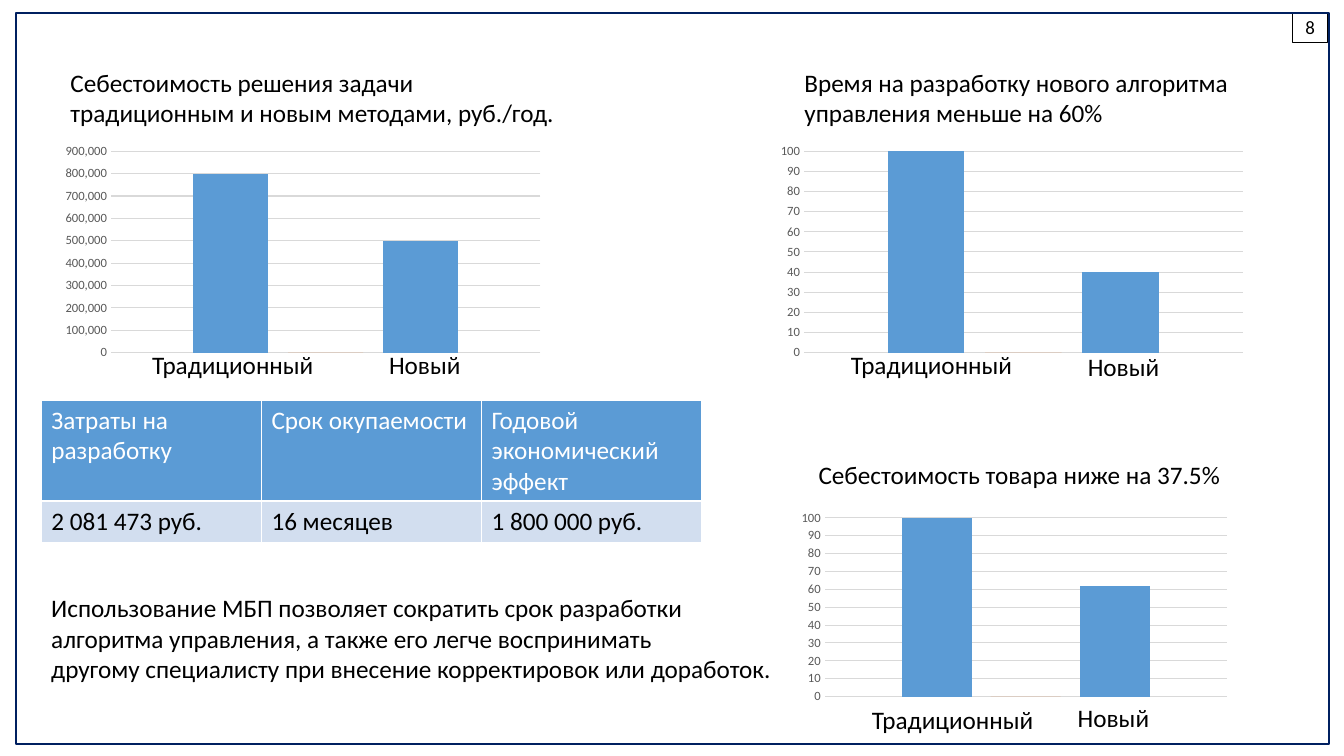
import pptx
import pptx.chart.data
import pptx.dml.color
import pptx.enum.chart
import pptx.enum.shapes
import pptx.enum.text
import pptx.oxml
import pptx.oxml.ns
import pptx.util

PX = 9144  # 100 px to the inch
FONT = "Calibri"
COLORS = {
    "text": "000000", "frame": "002060", "white": "FFFFFF", "bar": "5B9BD5",
    "zero_bar": "ED7D31", "grid": "D9D9D9", "axis": "595959", "row": "D2DEEF",
}


def px(*lengths):
    return [pptx.util.Emu(length * PX) for length in lengths]


def color(name):
    return pptx.dml.color.RGBColor.from_string(COLORS[name])


def set_font(font, size, name="text"):
    font.name = FONT
    font.size = pptx.util.Pt(size)
    font.bold = False
    font.color.rgb = color(name)


def fill_with(part, name):
    part.fill.solid()
    part.fill.fore_color.rgb = color(name)


def add_text(slide, box, text, wrap=False):
    shape = slide.shapes.add_textbox(*px(*box))
    frame = shape.text_frame
    frame.text = text
    frame.word_wrap = wrap
    frame.auto_size = pptx.enum.text.MSO_AUTO_SIZE.SHAPE_TO_FIT_TEXT
    for paragraph in frame.paragraphs:
        set_font(paragraph.runs[0].font, 18)


def add_rectangle(slide, box, line_name, line_width):
    shape = slide.shapes.add_shape(pptx.enum.shapes.MSO_SHAPE.RECTANGLE, *px(*box))
    shape.shadow.inherit = False
    shape.fill.background()
    shape.line.color.rgb = color(line_name)
    shape.line.width = pptx.util.Pt(line_width)
    return shape


def add_page_frame(slide, box, number):
    left, top, width, height = box
    tab = add_rectangle(slide, (left + width - 36, top - 1, 35, 30), "text", 0.75)
    frame = tab.text_frame
    frame.text = number
    frame.word_wrap = False
    frame.vertical_anchor = pptx.enum.text.MSO_ANCHOR.MIDDLE
    frame.paragraphs[0].alignment = pptx.enum.text.PP_ALIGN.CENTER
    set_font(frame.paragraphs[0].runs[0].font, 13.5)
    add_rectangle(slide, box, "frame", 1)


def set_plot_layout(chart, x):
    plot_area = chart.element.chart.plotArea
    for layout in plot_area.findall(pptx.oxml.ns.qn("c:layout")):
        plot_area.remove(layout)
    values = (("layoutTarget", "inner"), ("xMode", "edge"), ("yMode", "edge"),
              ("x", x), ("y", 0.05), ("w", 0.85), ("h", 0.9))
    inner = "".join(f'<c:{tag} val="{value}"/>' for tag, value in values)
    plot_area.insert(0, pptx.oxml.parse_xml(
        f'<c:layout {pptx.oxml.ns.nsdecls("c")}>'
        f"<c:manualLayout>{inner}</c:manualLayout></c:layout>"))


def add_comparison_chart(slide, box, values, maximum, step, number_format, plot_left):
    data = pptx.chart.data.CategoryChartData()
    data.categories = ["1"]
    for index, value in enumerate(values, 1):
        data.add_series(f"Series {index}", [value])
    chart = slide.shapes.add_chart(
        pptx.enum.chart.XL_CHART_TYPE.COLUMN_CLUSTERED, *px(*box), data).chart
    chart.has_title = False
    chart.has_legend = False
    set_font(chart.font, 10)
    set_plot_layout(chart, plot_left)

    plot = chart.plots[0]
    plot.vary_by_categories = False
    plot.gap_width = 219
    plot.overlap = -27
    for series, name in zip(plot.series, ("bar", "zero_bar", "bar")):
        fill_with(series.format, name)

    chart.category_axis.visible = False
    axis = chart.value_axis
    axis.minimum_scale = 0
    axis.maximum_scale = maximum
    axis.major_unit = step
    axis.major_tick_mark = pptx.enum.chart.XL_TICK_MARK.NONE
    axis.format.line.fill.background()
    axis.major_gridlines.format.line.color.rgb = color("grid")
    axis.major_gridlines.format.line.width = pptx.util.Pt(0.75)
    set_font(axis.tick_labels.font, 9, "axis")
    axis.tick_labels.number_format = number_format
    axis.tick_labels.number_format_is_linked = False


def add_chart_panel(slide, box, title, title_box, labels, **chart_options):
    left, top = box[:2]
    add_comparison_chart(slide, box, **chart_options)
    add_text(slide, title_box, title)
    for text, (x, y) in zip(("Традиционный", "Новый"), labels):
        add_text(slide, (left + x, top + y, 189, 40), text, wrap=True)


def add_cell_borders(cell):
    properties = cell._tc.get_or_add_tcPr()
    for index, side in enumerate("LRTB"):
        properties.insert(index, pptx.oxml.parse_xml(
            f'<a:ln{side} {pptx.oxml.ns.nsdecls("a")} w="12700"><a:solidFill>'
            f'<a:srgbClr val="{COLORS["white"]}"/></a:solidFill></a:ln{side}>'))


def add_cost_table(slide, box, rows, row_heights):
    table = slide.shapes.add_table(len(rows), len(rows[0]), *px(*box)).table
    styles = (("bar", "white"), ("row", "text"))
    for row, height, texts, (fill, ink) in zip(table.rows, row_heights, rows, styles):
        row.height = px(height)[0]
        for cell, text in zip(row.cells, texts):
            cell.text = text
            fill_with(cell, fill)
            set_font(cell.text_frame.paragraphs[0].runs[0].font, 18, ink)
            add_cell_borders(cell)


def build_economics_slide(presentation):
    slide = presentation.slides.add_slide(presentation.slide_layouts[6])
    add_page_frame(slide, (16, 13, 1302, 725), "8")

    # Charts with their headings and bar labels
    add_chart_panel(
        slide, (45, 139, 501, 222),
        "Себестоимость решения задачи\nтрадиционным и новым методами, руб./год.",
        (60, 62, 505, 71), ((96, 203), (331, 203)),
        values=(800000, 0, 500000), maximum=900000, step=100000,
        number_format="#,##0", plot_left=0.13)
    percent = {"maximum": 100, "step": 10, "number_format": "General"}
    add_chart_panel(
        slide, (736, 139, 512, 222),
        "Время на разработку нового алгоритма\nуправления меньше на 60%",
        (788, 62, 451, 71), ((98, 203), (333, 205)),
        values=(100, 0, 40), plot_left=0.12, **percent)
    add_chart_panel(
        slide, (757, 504, 469, 197), "Себестоимость товара ниже на 37.5%",
        (802, 451, 423, 40), ((98, 190), (302, 188)),
        values=(100, 0, 62), plot_left=0.13, **percent)

    # Cost table and conclusion
    add_cost_table(
        slide, (41, 397, 655, 141),
        (("Затраты на разработку", "Срок окупаемости", "Годовой экономический эффект"),
         ("2 081 473 руб.", "16 месяцев", "1 800 000 руб.")), (100, 41))
    add_text(
        slide, (41, 583, 745, 101),
        "Использование МБП позволяет сократить срок разработки\n"
        "алгоритма управления, а также его легче воспринимать\n"
        "другому специалисту при внесение корректировок или доработок.")


def main():
    presentation = pptx.Presentation()
    presentation.slide_width, presentation.slide_height = px(1333, 750)
    build_economics_slide(presentation)
    presentation.save("out.pptx")


if __name__ == "__main__":
    main()
